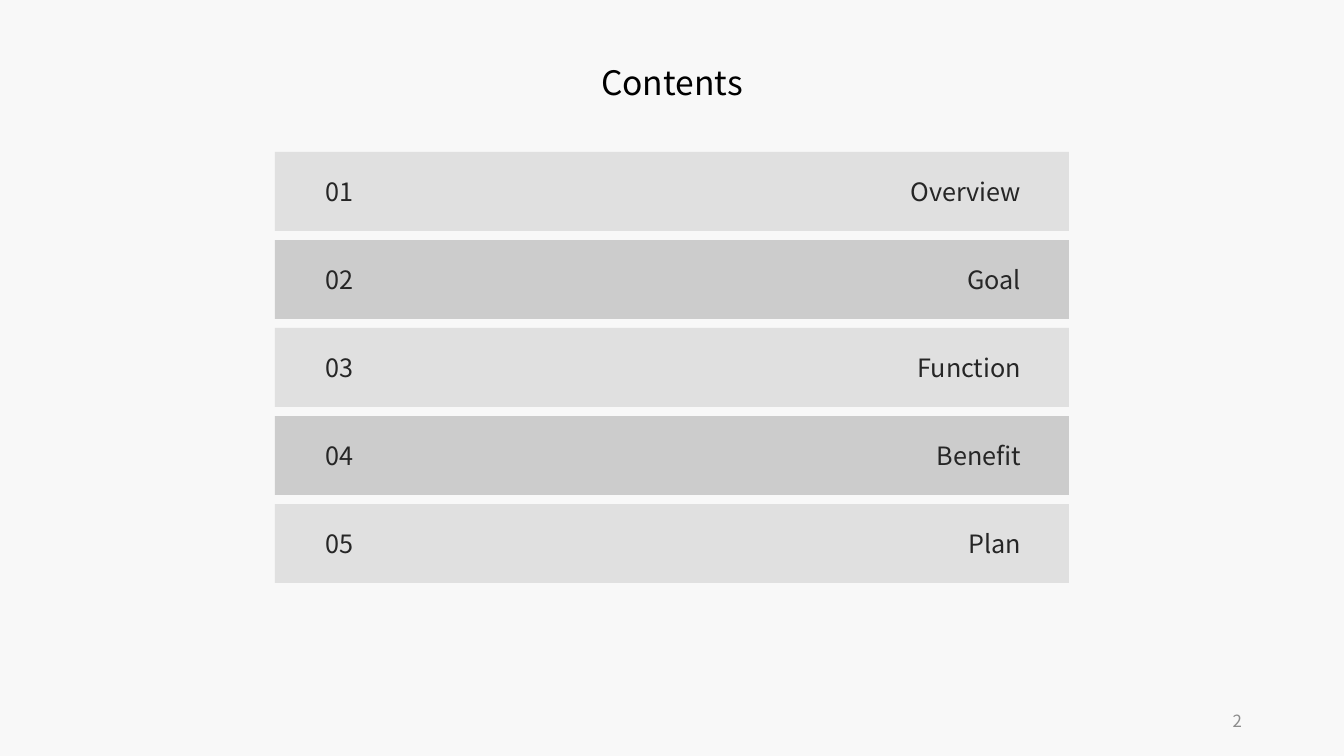
"""Build the contents slide: a title, five numbered bars and a page number."""
from pptx import Presentation
from pptx.dml.color import RGBColor
from pptx.enum.shapes import MSO_SHAPE
from pptx.enum.text import MSO_ANCHOR, MSO_AUTO_SIZE, PP_ALIGN
from pptx.util import Emu, Pt

TITLE = "Contents"
PAGE = "2"
TOPICS = [("Overview", 134), ("Goal", 75), ("Function", 129), ("Benefit", 111), ("Plan", 74)]

FONT = "Noto Sans CJK KR"
BACKGROUND = RGBColor(0xF8, 0xF8, 0xF8)
BLACK = RGBColor(0x00, 0x00, 0x00)
DARK = RGBColor(0x26, 0x26, 0x26)
GREY = RGBColor(0x8C, 0x8C, 0x8C)
BAR_FILLS = [RGBColor(0xE0, 0xE0, 0xE0), RGBColor(0xCC, 0xCC, 0xCC)]

SLIDE_W, SLIDE_H = 1344, 756
BAR_X, BAR_Y, BAR_W, BAR_H, BAR_PITCH = 275, 152, 794, 79, 88
TEXT_H = 40
NUMBER_X, NUMBER_W = 314, 51
LABEL_RIGHT = 1031


def px(n):
    return Emu(round(n * 914400 / 100.8))


def add_text(slide, text, box, size, color, align, fit=True):
    tf = slide.shapes.add_textbox(*map(px, box)).text_frame
    tf.word_wrap = not fit
    if fit:
        tf.auto_size = MSO_AUTO_SIZE.SHAPE_TO_FIT_TEXT
    else:
        tf.vertical_anchor = MSO_ANCHOR.MIDDLE
    p = tf.paragraphs[0]
    p.text = text
    p.alignment = align
    font = p.runs[0].font
    font.name, font.size = FONT, Pt(size)
    font.color.rgb = color


def add_bar(slide, y, color):
    sp = slide.shapes.add_shape(MSO_SHAPE.RECTANGLE, *map(px, (BAR_X, y, BAR_W, BAR_H)))
    sp.shadow.inherit = False
    sp.fill.solid()
    sp.fill.fore_color.rgb = color
    sp.line.fill.background()


def main():
    prs = Presentation()
    prs.slide_width, prs.slide_height = px(SLIDE_W), px(SLIDE_H)
    s = prs.slides.add_slide(prs.slide_layouts[6])
    s.background.fill.solid()
    s.background.fill.fore_color.rgb = BACKGROUND

    add_text(s, TITLE, (587, 57, 170, 50), 24, BLACK, PP_ALIGN.CENTER)
    for i, (topic, width) in enumerate(TOPICS):
        y = BAR_Y + i * BAR_PITCH
        text_y = y + (BAR_H - TEXT_H) / 2
        add_bar(s, y, BAR_FILLS[i % 2])
        add_text(s, f"{i + 1:02d}", (NUMBER_X, text_y, NUMBER_W, TEXT_H), 18, DARK, PP_ALIGN.CENTER)
        add_text(s, topic, (LABEL_RIGHT - width, text_y, width, TEXT_H), 18, DARK, PP_ALIGN.RIGHT)
    add_text(s, PAGE, (950, 701, 302, TEXT_H), 12, GREY, PP_ALIGN.RIGHT, fit=False)

    prs.save("out.pptx")


if __name__ == "__main__":
    main()
